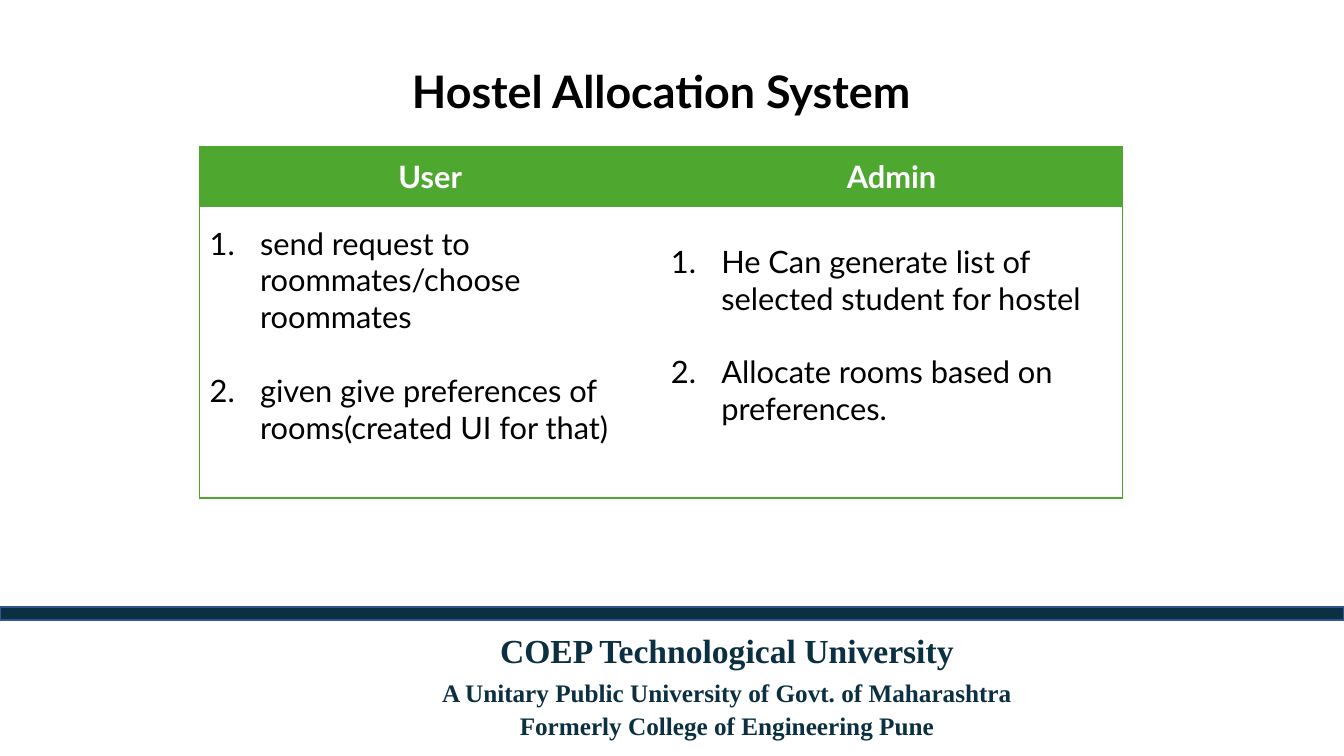
from dataclasses import dataclass

import pptx
import pptx.dml.color
import pptx.enum.shapes
import pptx.enum.text
import pptx.oxml
import pptx.oxml.ns
import pptx.util
from pptx.util import Inches


@dataclass(frozen=True)
class Theme:
    navy: str = "0B3041"
    bar_edge: str = "325490"
    green: str = "4EA72E"
    black: str = "000000"
    white: str = "FFFFFF"
    body_font: str = "Lato"
    footer_font: str = "Times New Roman"
    title_size: int = 32
    table_size: int = 22
    name_size: int = 24
    motto_size: int = 18


THEME = Theme()
CENTER = pptx.enum.text.PP_ALIGN.CENTER
MIDDLE = pptx.enum.text.MSO_ANCHOR.MIDDLE
TOP = pptx.enum.text.MSO_ANCHOR.TOP

TITLE = "Hostel Allocation System"
ROLES = {
    "User": [
        "send request to roommates/choose roommates",
        "given give preferences of rooms(created UI for that)",
    ],
    "Admin": [
        "He Can generate list of selected student for hostel",
        "Allocate rooms based on preferences.",
    ],
}
FOOTER = [
    ("COEP Technological University", THEME.name_size, 0),
    ("A Unitary Public University of Govt. of Maharashtra", THEME.motto_size, 5),
    ("Formerly College of Engineering Pune", THEME.motto_size, 2),
]


def rgb(color):
    return pptx.dml.color.RGBColor.from_string(color)


def format_para(para, size, color, font, bold):
    for span in para.runs:
        span.font.size = pptx.util.Pt(size)
        span.font.color.rgb = rgb(color)
        span.font.name = font
        span.font.bold = bold


def add_title(page, text):
    title = page.shapes.title
    title.left, title.top = Inches(1.47), Inches(0.58)
    title.width, title.height = Inches(10.18), Inches(1.72)
    frame = title.text_frame
    frame.text = text
    frame.auto_size = pptx.enum.text.MSO_AUTO_SIZE.NONE
    frame.vertical_anchor = TOP
    para = frame.paragraphs[0]
    para.alignment = CENTER
    para.line_spacing = 1.0
    format_para(para, THEME.title_size, THEME.black, THEME.body_font, True)


def set_borders(cell, inner_side):
    properties = cell._tc.get_or_add_tcPr()
    for side in "LRTB":
        if side == inner_side:
            paint = "<a:noFill/>"
        else:
            paint = f'<a:solidFill><a:srgbClr val="{THEME.green}"/></a:solidFill>'
        properties.append(pptx.oxml.parse_xml(
            f'<a:ln{side} {pptx.oxml.ns.nsdecls("a")} w="12700">{paint}</a:ln{side}>'
        ))


def number_para(para):
    properties = para._p.get_or_add_pPr()
    properties.set("marL", str(Inches(0.5)))
    properties.set("indent", str(-Inches(0.5)))
    properties.append(pptx.oxml.parse_xml(
        f'<a:buAutoNum {pptx.oxml.ns.nsdecls("a")} type="arabicPeriod"/>'
    ))


def fill_cell(cell, lines, fill, inner_side):
    set_borders(cell, inner_side)
    cell.fill.solid()
    cell.fill.fore_color.rgb = rgb(fill)
    cell.vertical_anchor = MIDDLE
    cell.text_frame.text = "\n".join(lines)


def add_roles_table(page, roles):
    table = page.shapes.add_table(
        2, len(roles), Inches(1.98), Inches(1.45), Inches(9.15), Inches(3.49)
    ).table
    table.horz_banding = False
    table.rows[0].height, table.rows[1].height = Inches(0.6), Inches(2.89)
    for column, (role, tasks) in enumerate(roles.items()):
        inner_side = "R" if column == 0 else "L"
        header, body = table.cell(0, column), table.cell(1, column)
        fill_cell(header, [role], THEME.green, inner_side)
        para = header.text_frame.paragraphs[0]
        para.alignment = CENTER
        format_para(para, THEME.table_size, THEME.white, THEME.body_font, True)
        fill_cell(body, tasks, THEME.white, inner_side)
        body.margin_bottom = Inches(0.39)
        for index, para in enumerate(body.text_frame.paragraphs):
            para.space_before = pptx.util.Pt(26 if index else 0)
            number_para(para)
            format_para(para, THEME.table_size, THEME.black, THEME.body_font, False)


def add_bar(page):
    bar = page.shapes.add_shape(
        pptx.enum.shapes.MSO_SHAPE.RECTANGLE,
        Inches(0), Inches(6.02), Inches(13.33), Inches(0.13),
    )
    bar.shadow.inherit = False
    bar.fill.solid()
    bar.fill.fore_color.rgb = rgb(THEME.navy)
    bar.line.color.rgb = rgb(THEME.bar_edge)
    bar.line.width = pptx.util.Pt(1.5)


def add_footer(page, lines):
    box = page.shapes.add_textbox(Inches(2.15), Inches(6.15), Inches(10.12), Inches(1.2))
    frame = box.text_frame
    frame.word_wrap = True
    frame.margin_top = Inches(0.1)
    frame.text = "\n".join(text for text, size, gap in lines)
    for para, (text, size, gap) in zip(frame.paragraphs, lines):
        para.alignment = CENTER
        para.space_before = pptx.util.Pt(gap)
        format_para(para, size, THEME.navy, THEME.footer_font, True)


def main():
    deck = pptx.Presentation()
    deck.slide_width, deck.slide_height = Inches(13.33), Inches(7.5)
    page = deck.slides.add_slide(deck.slide_layouts.get_by_name("Title Only"))
    add_footer(page, FOOTER)
    add_bar(page)
    add_title(page, TITLE)
    add_roles_table(page, ROLES)
    deck.save("out.pptx")


if __name__ == "__main__":
    main()
